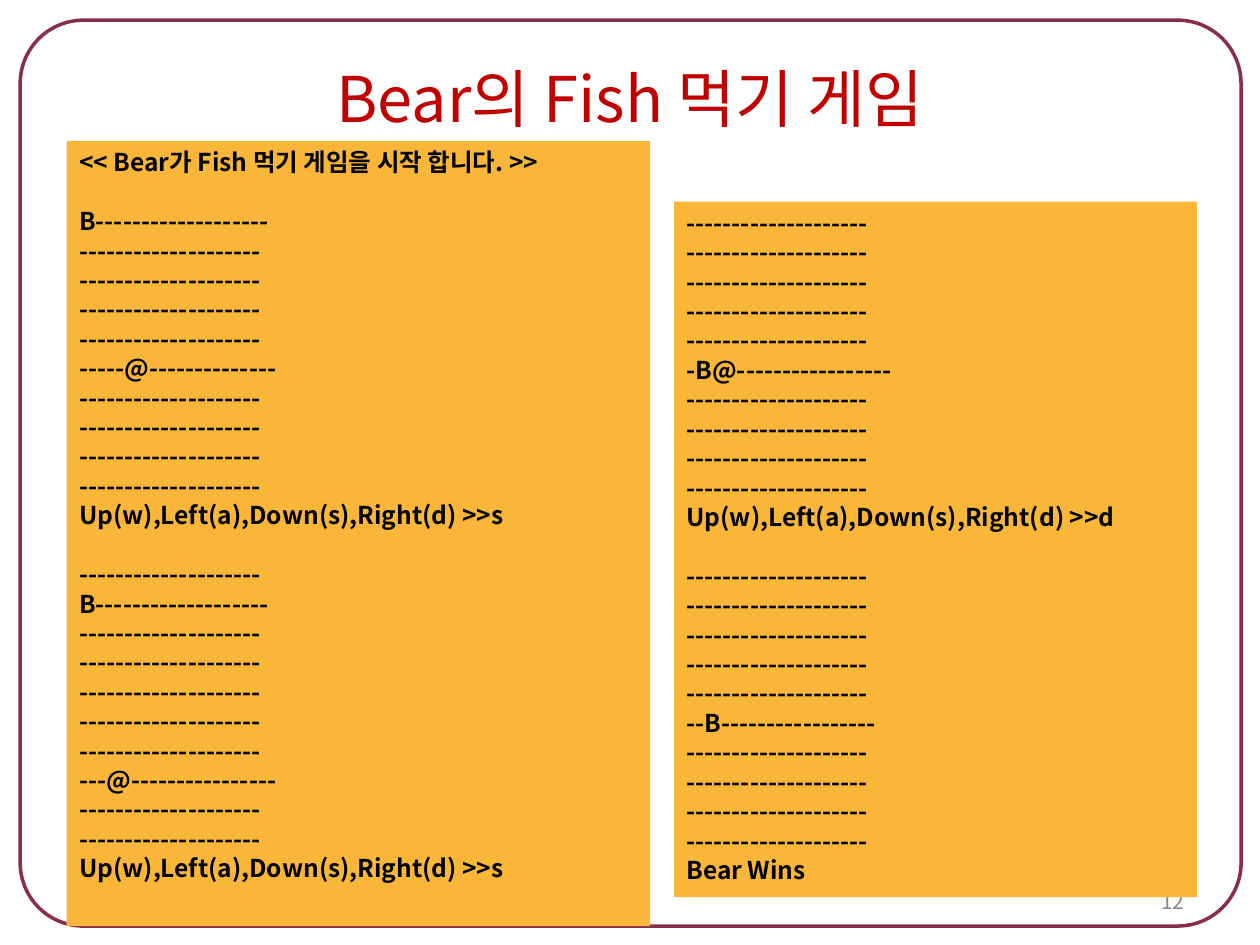
from dataclasses import dataclass
from typing import Optional

from lxml.etree import SubElement
from pptx import Presentation
from pptx.dml.color import RGBColor
from pptx.enum.shapes import MSO_SHAPE as Shape
from pptx.enum.text import MSO_ANCHOR as Anchor, PP_ALIGN as Align
from pptx.oxml.ns import qn
from pptx.util import Inches, Pt


@dataclass(frozen=True)
class Theme:
    font: str = "Noto Sans CJK KR"
    frame: RGBColor = RGBColor(0x88, 0x2D, 0x4D)
    title: RGBColor = RGBColor(0xC0, 0x00, 0x00)
    number: RGBColor = RGBColor(0x89, 0x89, 0x89)
    panel: RGBColor = RGBColor(0xF9, 0xB6, 0x39)
    text: RGBColor = RGBColor(0x00, 0x00, 0x00)
    title_size: float = 36
    number_size: float = 12
    console_size: float = 14
    console_pitch: float = 16.8


@dataclass(frozen=True)
class Box:
    left: float
    top: float
    width: float
    height: float

    def lengths(self) -> list:
        return [Inches(v) for v in (self.left, self.top, self.width, self.height)]


@dataclass(frozen=True)
class Cell:
    row: int
    column: int


@dataclass(frozen=True)
class Console:
    """Blocks of output lines, set apart by one line of space."""
    box: Box
    blocks: list


THEME = Theme()
ROWS, COLUMNS = 10, 20
PROMPT = "Up(w),Left(a),Down(s),Right(d) >>"


def board(bear: Cell, fish: Optional[Cell] = None) -> list:
    grid = [["-"] * COLUMNS for _ in range(ROWS)]
    if fish:
        grid[fish.row][fish.column] = "@"
    grid[bear.row][bear.column] = "B"
    return ["".join(row) for row in grid]


def add_run(paragraph, text: str, size: float, color: RGBColor, bold: bool = False) -> None:
    run = paragraph.add_run()
    run.text = text
    run.font.name = THEME.font
    run.font.size = Pt(size)
    run.font.bold = bold
    run.font.color.rgb = color
    # Hangul takes its typeface from the East Asian slot
    SubElement(run.font._element, qn("a:ea")).set("typeface", THEME.font)


def add_label(slide, box: Box, text: str, size: float, color: RGBColor, align: Align) -> None:
    frame = slide.shapes.add_textbox(*box.lengths()).text_frame
    frame.word_wrap = True
    frame.vertical_anchor = Anchor.MIDDLE
    frame.paragraphs[0].alignment = align
    add_run(frame.paragraphs[0], text, size, color)


def add_frame(slide, box: Box) -> None:
    border = slide.shapes.add_shape(Shape.ROUNDED_RECTANGLE, *box.lengths())
    border.adjustments[0] = 0.07
    border.shadow.inherit = False
    border.fill.background()
    border.line.color.rgb = THEME.frame
    border.line.width = Pt(2)


def add_console(slide, console: Console) -> None:
    panel = slide.shapes.add_shape(Shape.RECTANGLE, *console.box.lengths())
    panel.shadow.inherit = False
    panel.fill.solid()
    panel.fill.fore_color.rgb = THEME.panel
    panel.line.fill.background()
    frame = panel.text_frame
    frame.word_wrap = True
    frame.vertical_anchor = Anchor.TOP
    paragraph = None
    for block_index, block in enumerate(console.blocks):
        for line_index, line in enumerate(block):
            paragraph = frame.add_paragraph() if paragraph else frame.paragraphs[0]
            paragraph.alignment = Align.LEFT
            paragraph.line_spacing = Pt(THEME.console_pitch)
            if block_index and line_index == 0:
                paragraph.space_before = Pt(THEME.console_pitch)
            add_run(paragraph, line, THEME.console_size, THEME.text, bold=True)


def main() -> None:
    presentation = Presentation()
    presentation.slide_width, presentation.slide_height = Inches(10), Inches(7.5)
    slide = presentation.slides.add_slide(presentation.slide_layouts[6])

    add_frame(slide, Box(0.16, 0.16, 9.69, 7.19))
    add_label(slide, Box(0.5, 0.3, 9, 0.95), "Bear의 Fish 먹기 게임",
              THEME.title_size, THEME.title, Align.CENTER)
    add_label(slide, Box(7.17, 6.95, 2.33, 0.4), "12",
              THEME.number_size, THEME.number, Align.RIGHT)

    opening = Console(Box(0.53, 1.12, 4.63, 6.23), [
        ["<< Bear가 Fish 먹기 게임을 시작 합니다. >>"],
        board(Cell(0, 0), Cell(5, 5)) + [PROMPT + "s"],
        board(Cell(1, 0), Cell(7, 3)) + [PROMPT + "s"],
    ])
    ending = Console(Box(5.35, 1.6, 4.15, 5.52), [
        board(Cell(5, 1), Cell(5, 2)) + [PROMPT + "d"],
        board(Cell(5, 2)) + ["Bear Wins"],
    ])
    for console in (opening, ending):
        add_console(slide, console)

    presentation.save("out.pptx")


if __name__ == "__main__":
    main()
